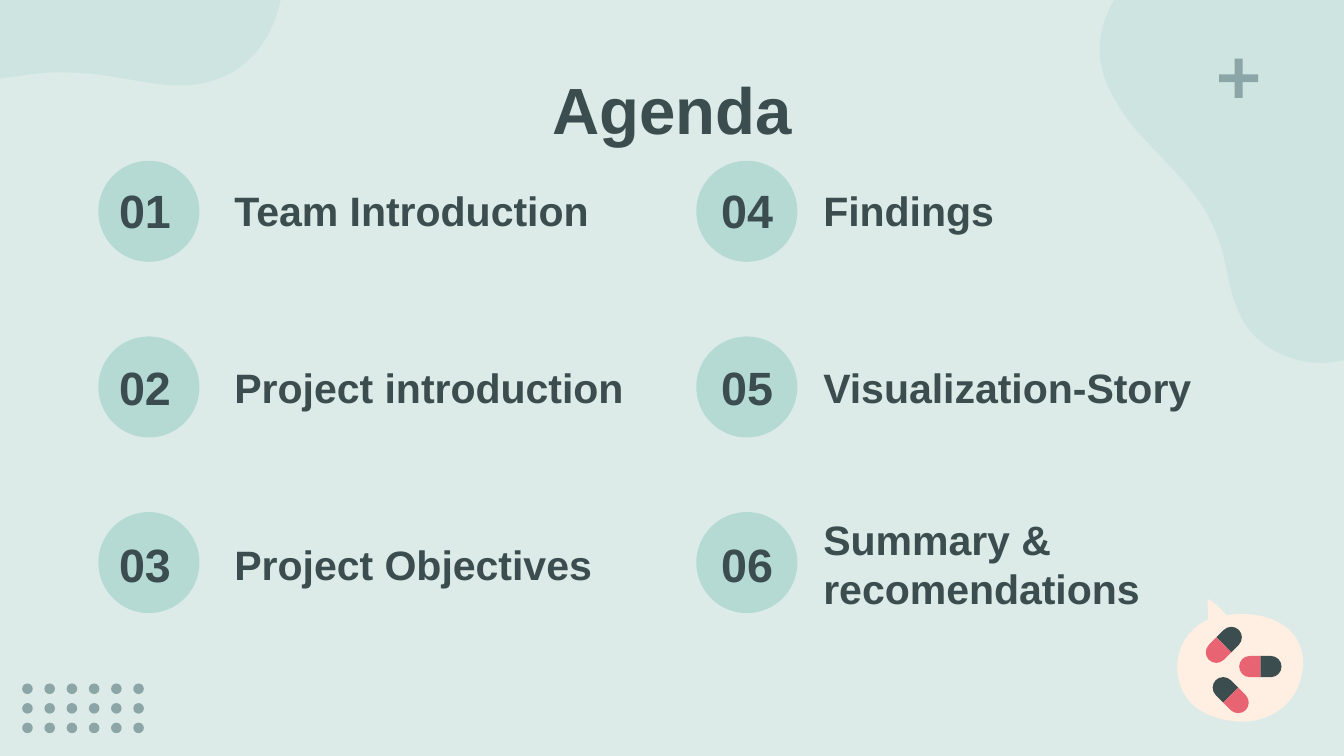
import math
from itertools import product

from lxml import etree
from pptx import Presentation
from pptx import util as u
from pptx.dml.color import RGBColor
from pptx.enum import shapes, text
from pptx.oxml.ns import qn

BACKGROUND = RGBColor(0xDC, 0xEB, 0xE8)
MINT = RGBColor(0xB5, 0xDA, 0xD4)
SLATE = RGBColor(0x8C, 0xA5, 0xA7)
INK = RGBColor(0x3B, 0x4D, 0x4E)
CREAM = RGBColor(0xFF, 0xEE, 0xE2)
CORAL = RGBColor(0xE8, 0x64, 0x73)

TITLE = "Agenda"
COLUMNS = [
    {
        "circle": 1.86, "number": 2.0, "label": 4.18, "align": text.PP_ALIGN.LEFT,
        "items": ["Team Introduction", "Project introduction", "Project Objectives"],
    },
    {
        "circle": 13.16, "number": 13.14, "label": 15.31, "align": text.PP_ALIGN.CENTER,
        "items": ["Findings", "Visualization-Story", "Summary & recomendations"],
    },
]

# Each outline is a start point followed by Bezier control points, in 1/100 inch.
LEFT_BLOB = [
    (164, 58), (190, 48), (207, 21), (210, -8), (213, -38), (203, -69), (186, -95),
    (175, -111), (161, -125), (143, -130), (129, -134), (115, -132), (101, -126),
    (95, -124), (89, -121), (84, -117), (63, -104), (45, -87), (22, -78),
    (14, -75), (5, -72), (-4, -71), (-19, -70), (-34, -70), (-48, -64),
    (-69, -55), (-83, -32), (-82, -8), (-82, 16), (-67, 40), (-46, 51),
    (-30, 58), (-13, 59), (3, 58), (19, 56), (35, 53), (51, 54),
    (70, 54), (89, 58), (107, 61), (126, 64), (145, 66), (164, 58),
]
RIGHT_BLOB = [
    (1034, -27), (1018, -54), (984, -70), (950, -69), (915, -68), (880, -52), (853, -28),
    (836, -13), (822, 6), (819, 27), (816, 44), (821, 60), (830, 75),
    (834, 82), (838, 88), (843, 94), (862, 116), (884, 135), (898, 159),
    (903, 168), (907, 178), (910, 189), (914, 206), (916, 223), (925, 239),
    (938, 261), (967, 274), (995, 269), (1023, 265), (1048, 244), (1057, 218),
    (1064, 199), (1062, 179), (1058, 160), (1054, 142), (1048, 124), (1046, 105),
    (1043, 83), (1046, 61), (1046, 39), (1047, 17), (1045, -6), (1034, -27),
]
BUBBLE = [
    (926, 537), (925, 537), (924, 537), (923, 537), (923, 537), (892, 537), (881, 516),
    (871, 499), (875, 472), (899, 461), (899, 455), (898, 447), (899, 446),
    (901, 446), (908, 453), (913, 458), (917, 457), (921, 457), (924, 457),
    (954, 457), (973, 474), (969, 500), (965, 527), (941, 537), (926, 537),
]
PILLS = [(23.13, 12.19, -45), (23.82, 12.6, 0), (23.26, 13.14, 225)]


def paint(shape, color):
    shape.shadow.inherit = False
    shape.fill.solid()
    shape.fill.fore_color.rgb = color
    shape.line.fill.background()
    return shape


def add_preset(slide, kind, left, top, width, height, color):
    box = [u.Cm(length) for length in (left, top, width, height)]
    return paint(slide.shapes.add_shape(kind, *box), color)


def add_outline(slide, start, segments, color):
    corners = [(u.Cm(x), u.Cm(y)) for x, y in [start] + [part[-1] for part in segments]]
    builder = slide.shapes.build_freeform(*corners[0])
    builder.add_line_segments(corners[1:], close=True)
    shape = builder.convert_to_shape()
    for line, part in zip(list(shape._element.iter(qn("a:lnTo"))), segments):
        if len(part) == 3:
            line.tag = qn("a:cubicBezTo")
            for position, (x, y) in enumerate(part[:2]):
                point = etree.Element(qn("a:pt"), x=str(u.Cm(x) - shape.left),
                                      y=str(u.Cm(y) - shape.top))
                line.insert(position, point)
    return paint(shape, color)


def add_curve(slide, controls, color):
    start, *rest = [(x * 0.0254, y * 0.0254) for x, y in controls]
    segments = [rest[i:i + 3] for i in range(0, len(rest), 3)]
    return add_outline(slide, start, segments, color)


def add_half_pill(slide, x, y, degrees, color, radius=0.2, straight=0.2):
    cosine, sine = math.cos(math.radians(degrees)), math.sin(math.radians(degrees))
    bend = 0.55 * radius
    tip = straight + radius
    segments = [
        [(straight, -radius)],
        [(straight + bend, -radius), (tip, -bend), (tip, 0)],
        [(tip, bend), (straight + bend, radius), (straight, radius)],
        [(0, radius)],
    ]

    def place(point):
        along, across = point
        return x + along * cosine - across * sine, y + along * sine + across * cosine

    turned = [[place(point) for point in part] for part in segments]
    add_outline(slide, place((0, -radius)), turned, color)


def write(shape, words, size, align):
    frame = shape.text_frame
    frame.word_wrap = True
    frame.auto_size = text.MSO_AUTO_SIZE.NONE
    frame.vertical_anchor = text.MSO_ANCHOR.MIDDLE
    frame.margin_left = frame.margin_right = u.Cm(0.25)
    frame.margin_top = frame.margin_bottom = u.Cm(0.25)
    paragraph = frame.paragraphs[0]
    paragraph.alignment = align
    paragraph.line_spacing = 1.0
    run = paragraph.add_run()
    run.text = words
    run.font.name = "Arial"
    run.font.size = u.Pt(size)
    run.font.bold = True
    run.font.color.rgb = INK


def add_text(slide, left, top, width, height, words, size, align):
    box = [u.Cm(length) for length in (left, top, width, height)]
    write(slide.shapes.add_textbox(*box), words, size, align)


def add_decoration(slide):
    for controls in (LEFT_BLOB, RIGHT_BLOB):
        blob = add_curve(slide, controls, MINT)
        color = next(blob._element.iter(qn("a:srgbClr")))
        etree.SubElement(color, qn("a:alpha"), val="36000")
    for row, column in product(range(3), range(6)):
        add_preset(slide, shapes.MSO_SHAPE.OVAL, 0.42 + 0.42 * column,
                   12.92 + 0.37 * row, 0.2, 0.2, SLATE)
    for width, height in ((0.15, 0.74), (0.74, 0.15)):
        add_preset(slide, shapes.MSO_SHAPE.RECTANGLE, 23.41 - width / 2,
                   1.48 - height / 2, width, height, SLATE)


def add_agenda(slide):
    number = 0
    for column in COLUMNS:
        for row, item in enumerate(column["items"]):
            number += 1
            add_preset(slide, shapes.MSO_SHAPE.OVAL, column["circle"],
                       3.04 + 3.32 * row, 1.91, 1.91, MINT)
            add_text(slide, column["number"], 3.38 + 3.35 * row, 1.96, 1.17,
                     f"{number:02}", 25, column["align"])
            add_text(slide, column["label"], 3.18 + 3.34 * row, 8.1, 1.6,
                     item, 22, text.PP_ALIGN.LEFT)


def add_pill_bubble(slide):
    add_curve(slide, BUBBLE, CREAM)
    for x, y, degrees in PILLS:
        add_half_pill(slide, x, y, degrees, INK)
        add_half_pill(slide, x, y, degrees + 180, CORAL)


def main():
    presentation = Presentation()
    presentation.slide_width = u.Cm(25.4)
    presentation.slide_height = u.Cm(14.29)
    slide = presentation.slides.add_slide(presentation.slide_layouts[5])
    slide.background.fill.solid()
    slide.background.fill.fore_color.rgb = BACKGROUND
    add_decoration(slide)
    title = slide.shapes.title
    title.left, title.top = u.Cm(2), u.Cm(1.24)
    title.width, title.height = u.Cm(21.41), u.Cm(1.6)
    write(title, TITLE, 35, text.PP_ALIGN.CENTER)
    add_agenda(slide)
    add_pill_bubble(slide)
    presentation.save("out.pptx")


if __name__ == "__main__":
    main()
